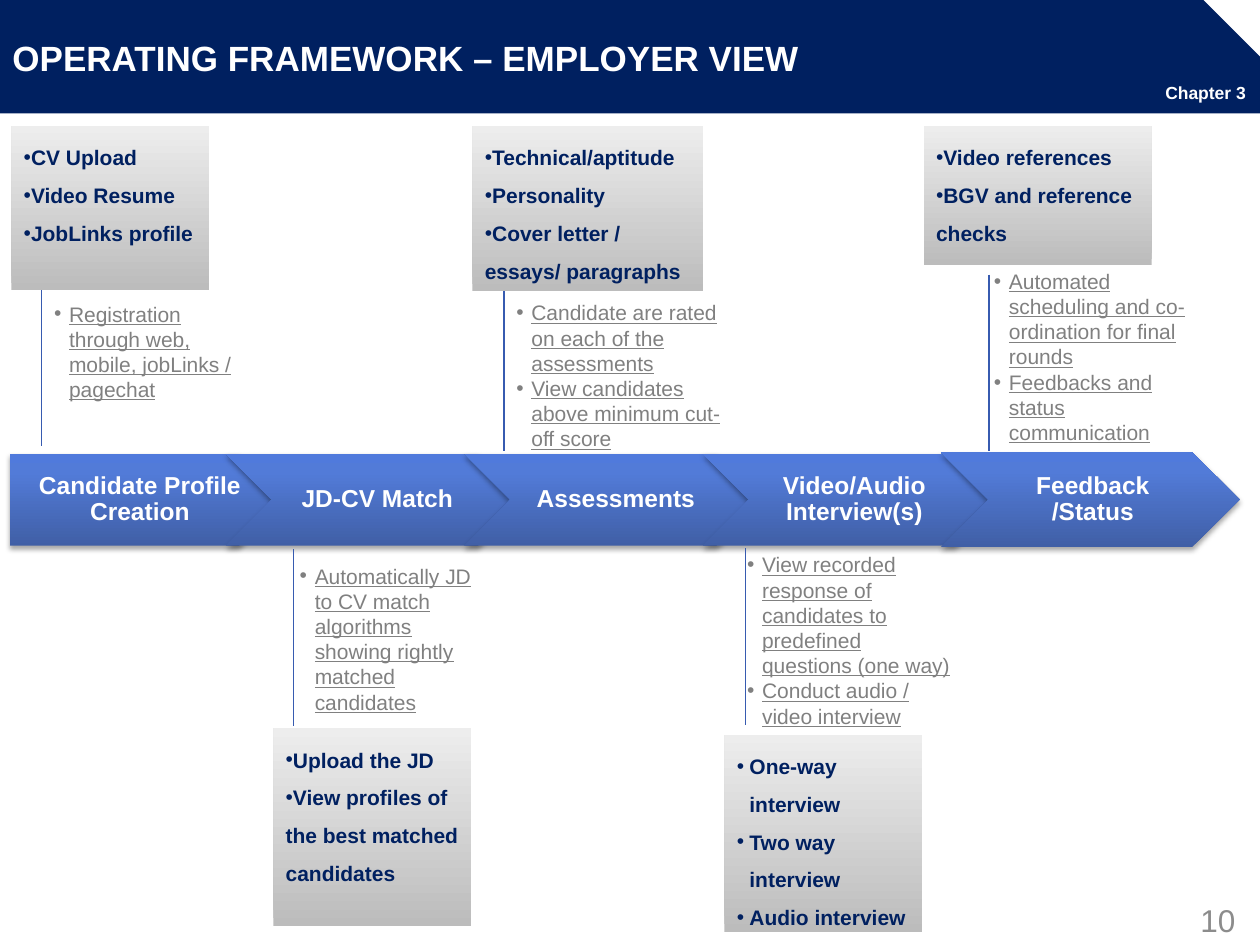
from copy import deepcopy
from dataclasses import dataclass

from lxml.etree import SubElement
from pptx import Presentation
from pptx.dml.color import RGBColor
from pptx.enum.shapes import MSO_CONNECTOR as Connector, MSO_SHAPE as Preset
from pptx.enum.text import MSO_ANCHOR as Anchor, PP_ALIGN as Align
from pptx.oxml import parse_xml
from pptx.oxml.ns import nsdecls, qn
from pptx.util import Pt

NAVY = RGBColor(0x00, 0x20, 0x60)
WHITE = RGBColor(0xFF, 0xFF, 0xFF)
GREY = RGBColor(0x80, 0x80, 0x80)
PAGE_GREY = RGBColor(0x8C, 0x8C, 0x8C)
LINE_BLUE = RGBColor(0x37, 0x5B, 0xB0)
STEP_STOPS = [(0, RGBColor(0x40, 0x5F, 0xA6)), (0.8, RGBColor(0x52, 0x7B, 0xD8)),
              (1, RGBColor(0x50, 0x7A, 0xDC))]
BOX_STOPS = [(0, RGBColor(0xBC, 0xBC, 0xBC)), (1, RGBColor(0xED, 0xED, 0xED))]
FONT = "Arial"
INSETS = (7.2, 3.6, 7.2, 3.6)


@dataclass
class Area:
    left: float
    top: float
    width: float
    height: float

    def lengths(self):
        return Pt(self.left), Pt(self.top), Pt(self.width), Pt(self.height)


@dataclass
class Step:
    title: str
    area: Area
    preset: Preset
    left_inset: float


@dataclass
class Feature:
    box: Area
    box_items: list[str]
    detail: Area
    detail_items: list[str]
    line_x: float
    line_top: float
    line_bottom: float
    box_indent: float = 0


deck = Presentation()
deck.slide_width, deck.slide_height = Pt(720), Pt(540)
page = deck.slides.add_slide(deck.slide_layouts[6])


def write(box, items: list[str], *, size: float, color: RGBColor, bold=False,
          underline=False, align=Align.LEFT, anchor=Anchor.TOP, spacing=None,
          indent=None, insets=INSETS, wrap=True) -> None:
    """Fill a shape with paragraphs; an indent also turns bullets on."""
    frame = box.text_frame
    frame.word_wrap, frame.vertical_anchor = wrap, anchor
    (frame.margin_left, frame.margin_top,
     frame.margin_right, frame.margin_bottom) = map(Pt, insets)
    for index, item in enumerate(items):
        para = frame.add_paragraph() if index else frame.paragraphs[0]
        para.alignment = align
        if spacing:
            para.line_spacing = spacing
        if indent is not None:
            props = para._p.get_or_add_pPr()
            props.set("marL", str(Pt(indent)))
            props.set("indent", str(-Pt(indent)))
            SubElement(props, qn("a:buFont")).set("typeface", FONT)
            SubElement(props, qn("a:buChar")).set("char", "•")
        span = para.add_run()
        span.text = item
        font = span.font
        font.name, font.size, font.bold = FONT, Pt(size), bold
        font.color.rgb = color
        if underline:
            font.underline = True


def add_text(area: Area, items: list[str], **text_format) -> None:
    write(page.shapes.add_textbox(*area.lengths()), items, **text_format)


def add_block(preset: Preset, area: Area):
    shape = page.shapes.add_shape(preset, *area.lengths())
    shape.shadow.inherit = False
    shape.line.fill.background()
    return shape


def shade(shape, stops: list[tuple[float, RGBColor]]) -> None:
    """Apply a gradient that runs from bottom to top."""
    shape.fill.gradient()
    shape.fill.gradient_angle = 90
    stop_list = shape._element.spPr.find(".//" + qn("a:gsLst"))
    while len(stop_list) < len(stops):
        stop_list.append(deepcopy(stop_list[-1]))
    for stop, (position, color) in zip(shape.fill.gradient_stops, stops):
        stop.position, stop.color.rgb = position, color


def add_step(step: Step) -> None:
    shape = add_block(step.preset, step.area)
    shape.adjustments[0] = 0.5
    shade(shape, STEP_STOPS)
    effects = shape._element.spPr.find(qn("a:effectLst"))
    effects.append(parse_xml(
        f'<a:outerShdw {nsdecls("a")} blurRad="{Pt(3.1)}" dist="{Pt(1.8)}" dir="5400000" '
        'rotWithShape="0"><a:srgbClr val="000000"><a:alpha val="35000"/></a:srgbClr>'
        '</a:outerShdw>'))
    write(shape, [step.title], size=14, color=WHITE, bold=True, align=Align.CENTER,
          anchor=Anchor.MIDDLE, spacing=0.9, insets=(step.left_inset, 2.9, 1.4, 2.9))


def add_feature(feature: Feature) -> None:
    line = page.shapes.add_connector(
        Connector.STRAIGHT, Pt(feature.line_x), Pt(feature.line_top),
        Pt(feature.line_x), Pt(feature.line_bottom))
    line.line.color.rgb, line.line.width = LINE_BLUE, Pt(0.75)
    SubElement(line._element.spPr, qn("a:effectLst"))
    add_text(feature.detail, feature.detail_items, size=12, color=GREY,
             underline=True, indent=8.6)
    box = add_block(Preset.RECTANGLE, feature.box)
    shade(box, BOX_STOPS)
    write(box, feature.box_items, size=12, color=NAVY, bold=True, spacing=1.5,
          indent=feature.box_indent)


# Header
banner = add_block(Preset.SNIP_1_RECTANGLE, Area(0, 0, 720, 64.8))
banner.adjustments[0] = 0.5
banner.fill.solid()
banner.fill.fore_color.rgb = NAVY
add_text(Area(0, 0, 684.7, 66.2), ["OPERATING FRAMEWORK – EMPLOYER VIEW"],
         size=20, color=WHITE, bold=True, anchor=Anchor.MIDDLE)
add_text(Area(658.8, 43.2, 61.2, 19.4), ["Chapter 3"],
         size=10, color=WHITE, bold=True, wrap=False)
add_text(Area(671.8, 511.2, 48.2, 28.8), ["10"],
         size=18, color=PAGE_GREY, align=Align.CENTER)

# Process arrow
FIRST_CHEVRON, PITCH, CHEVRON_WIDTH = 128.9, 136.3, 170.6
STEP_TOP, STEP_HEIGHT = 259.2, 52.6
add_step(Step("Candidate Profile Creation", Area(5.8, STEP_TOP, 157, STEP_HEIGHT),
              Preset.PENTAGON, 5.8))
chevron_titles = ["JD-CV Match", "Assessments", "Video/Audio Interview(s)",
                  "Feedback /Status"]
for index, title in enumerate(chevron_titles):
    extra = 1.4 if index == len(chevron_titles) - 1 else 0
    area = Area(FIRST_CHEVRON + index * PITCH, STEP_TOP - extra / 2,
                CHEVRON_WIDTH, STEP_HEIGHT + extra)
    add_step(Step(title, area, Preset.CHEVRON, 4.3))

# Features above and below the arrow
FEATURES = [
    Feature(Area(6.5, 72, 113, 93.6), ["CV Upload", "Video Resume", "JobLinks profile"],
            Area(23.8, 168.5, 120.2, 65.5),
            ["Registration through web, mobile, jobLinks / pagechat"], 23.8, 144, 254.9),
    Feature(Area(156.2, 416.2, 113, 113),
            ["Upload the JD", "View profiles of the best matched candidates"],
            Area(164.2, 318.2, 120.2, 94.3),
            ["Automatically JD to CV match algorithms showing rightly matched candidates"],
            167.8, 313.9, 414.7),
    Feature(Area(270, 72, 131.8, 94.3),
            ["Technical/aptitude", "Personality", "Cover letter / essays/ paragraphs"],
            Area(288, 167.8, 131.8, 94.3),
            ["Candidate are rated on each of the assessments",
             "View candidates above minimum cut-off score"], 288, 156.2, 257.8),
    Feature(Area(414, 419.8, 113, 113),
            ["One-way interview", "Two way interview", "Audio interview"],
            Area(419.8, 311.8, 132, 108.7),
            ["View recorded response of candidates to predefined questions (one way)",
             "Conduct audio / video interview"], 426.2, 313.2, 414, box_indent=7.2),
    Feature(Area(527.8, 72, 130.3, 79.2),
            ["Video references", "BGV and reference checks"],
            Area(560.9, 149.8, 134.6, 108.7),
            ["Automated scheduling and co-ordination for final rounds",
             "Feedbacks and status communication"], 565.2, 157, 257.8),
]
for feature in FEATURES:
    add_feature(feature)

deck.save("out.pptx")
